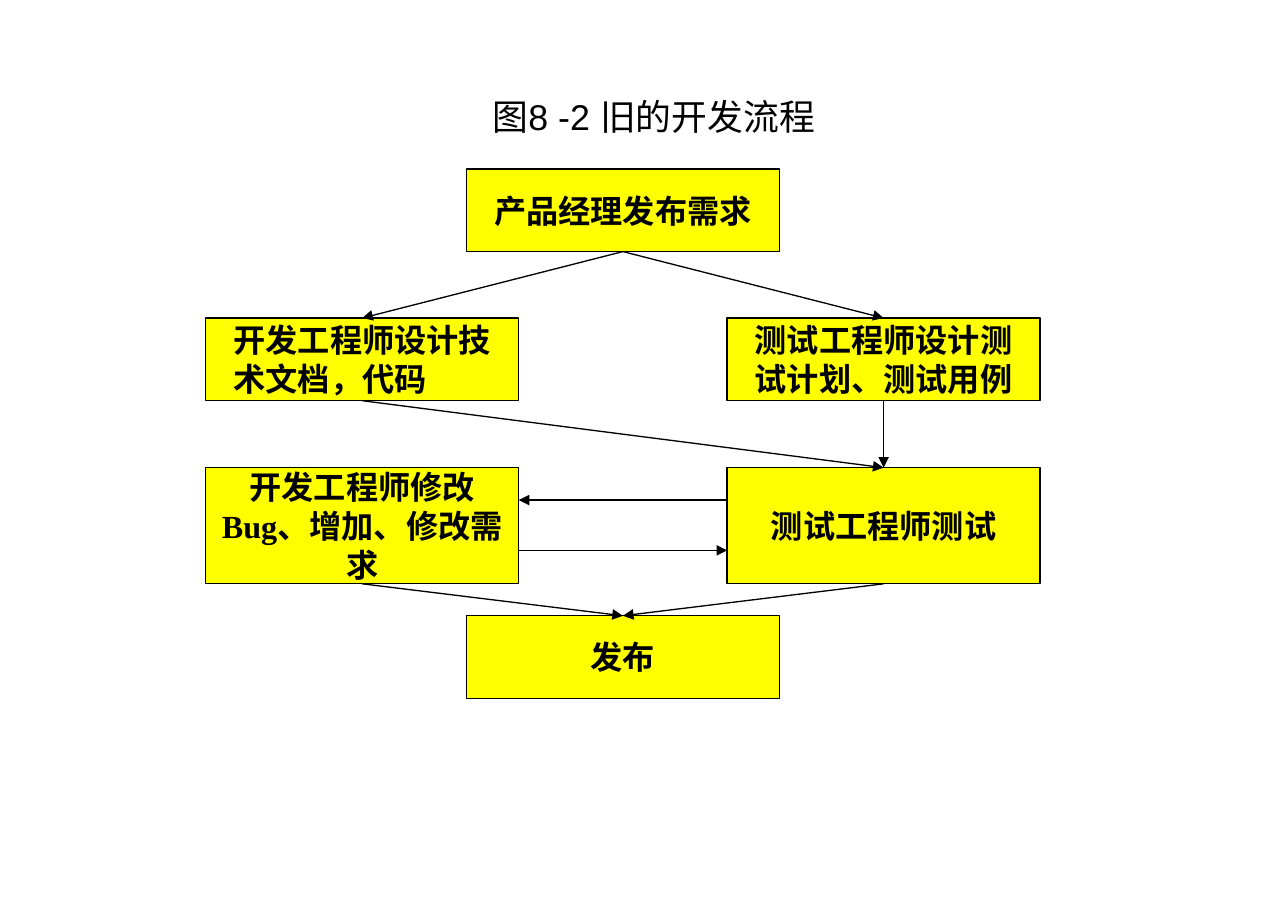
from lxml.etree import SubElement
from pptx import Presentation
from pptx.dml.color import RGBColor
from pptx.enum.shapes import MSO_CONNECTOR, MSO_SHAPE
from pptx.enum.text import MSO_ANCHOR, MSO_AUTO_SIZE, PP_ALIGN
from pptx.oxml.ns import qn
from pptx.util import Cm, Pt

COLORS = {"ink": "000000", "step": "FFFF00"}
TOP, BOTTOM = 0, 2
STEP_WIDTH, LOW, TALL = 6.17, 1.63, 2.29
LEFT, MIDDLE, RIGHT = (4.06 + 5.14 * column for column in range(3))
ROWS = (3.33, 6.27, 9.22, 12.14)


def rgb(name):
    return RGBColor.from_string(COLORS[name])


class FlowSlide:
    def __init__(self, slide):
        self.shapes = slide.shapes

    def label(self, shape, text, font_name, size, align, bold=False):
        frame = shape.text_frame
        frame.word_wrap = True
        frame.vertical_anchor = MSO_ANCHOR.MIDDLE
        paragraph = frame.paragraphs[0]
        paragraph.text = text
        paragraph.alignment = align
        font = paragraph.font
        font.name, font.size, font.bold = font_name, Pt(size), bold
        font.color.rgb = rgb("ink")

    def title(self, text, left, top, width, height):
        box = self.shapes.add_textbox(Cm(left), Cm(top), Cm(width), Cm(height))
        self.label(box, text, "Arial", 20, PP_ALIGN.CENTER)
        box.text_frame.auto_size = MSO_AUTO_SIZE.SHAPE_TO_FIT_TEXT

    def step(self, text, left, top, height=LOW, align=PP_ALIGN.CENTER):
        box = self.shapes.add_shape(
            MSO_SHAPE.RECTANGLE, Cm(left), Cm(top), Cm(STEP_WIDTH), Cm(height))
        box.shadow.inherit = False
        box.fill.solid()
        box.fill.fore_color.rgb = rgb("step")
        box.line.color.rgb = rgb("ink")
        box.line.width = Pt(0.75)
        self.label(box, text, "Times New Roman", 18, align, bold=True)
        if align == PP_ALIGN.LEFT:
            # Centres the left-aligned lines as one block
            box._element.txBody.find(qn("a:bodyPr")).set("anchorCtr", "1")
        return box

    def arrow(self, x1=0, y1=0, x2=0, y2=0):
        connector = self.shapes.add_connector(
            MSO_CONNECTOR.STRAIGHT, Cm(x1), Cm(y1), Cm(x2), Cm(y2))
        connector.line.color.rgb = rgb("ink")
        connector.line.width = Pt(0.75)
        properties = connector._element.spPr
        SubElement(properties.find(qn("a:ln")), qn("a:tailEnd"), type="triangle")
        SubElement(properties, qn("a:effectLst"))
        return connector

    def flow_down(self, source, target):
        """Join the bottom of one step to the top of the next."""
        connector = self.arrow()
        connector.begin_connect(source, BOTTOM)
        connector.end_connect(target, TOP)


def main():
    presentation = Presentation()
    presentation.slide_width = Cm(25.4)
    presentation.slide_height = Cm(18)
    flow = FlowSlide(presentation.slides.add_slide(presentation.slide_layouts[6]))

    flow.title("图8 -2 旧的开发流程", 6.15, 1.73, 13.49, 1.12)
    requirements = flow.step("产品经理发布需求", MIDDLE, ROWS[0], align=PP_ALIGN.LEFT)
    design = flow.step("开发工程师设计技术文档，代码", LEFT, ROWS[1], align=PP_ALIGN.LEFT)
    test_plan = flow.step("测试工程师设计测试计划、测试用例", RIGHT, ROWS[1], align=PP_ALIGN.LEFT)
    testing = flow.step("测试工程师测试", RIGHT, ROWS[2], TALL)
    fixing = flow.step("开发工程师修改Bug、增加、修改需求", LEFT, ROWS[2], TALL)
    release = flow.step("发布", MIDDLE, ROWS[3])

    for source, target in (
        (requirements, design),
        (requirements, test_plan),
        (design, testing),
        (test_plan, testing),
        (fixing, release),
        (testing, release),
    ):
        flow.flow_down(source, target)

    fixing_edge = LEFT + STEP_WIDTH
    bugs_y, retest_y = ROWS[2] + 0.64, ROWS[2] + 1.63
    flow.arrow(RIGHT, bugs_y, fixing_edge, bugs_y)
    flow.arrow(fixing_edge, retest_y, RIGHT, retest_y)

    presentation.save("out.pptx")


if __name__ == "__main__":
    main()
